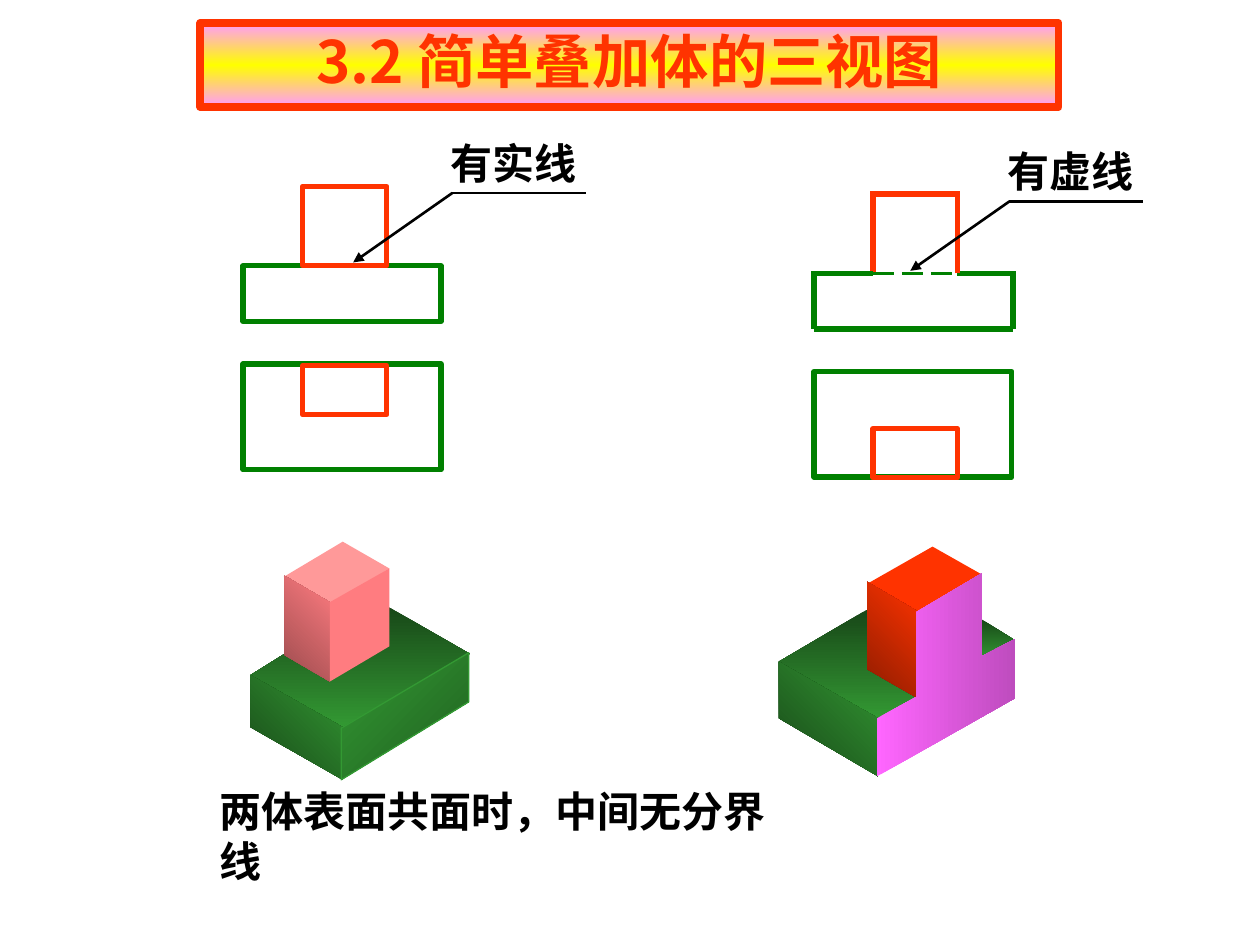
from copy import deepcopy
from typing import NamedTuple

from lxml.etree import SubElement
from pptx import Presentation
from pptx.dml.color import RGBColor
from pptx.enum.dml import MSO_LINE_DASH_STYLE as Dash
from pptx.enum.shapes import MSO_CONNECTOR as Connector, MSO_SHAPE as Shape
from pptx.enum.text import MSO_ANCHOR as Anchor, MSO_AUTO_SIZE as AutoSize, PP_ALIGN as Align
from pptx.oxml.ns import qn
from pptx.util import Cm, Pt

BLACK = RGBColor(0x00, 0x00, 0x00)
RED = RGBColor(0xFF, 0x33, 0x00)
DARK_RED = RGBColor(0x8C, 0x1C, 0x00)
OUTLINE_GREEN = RGBColor(0x00, 0x80, 0x00)
GREEN = RGBColor(0x33, 0x99, 0x33)
MID_GREEN = RGBColor(0x20, 0x60, 0x20)
DARK_GREEN = RGBColor(0x18, 0x47, 0x18)
PALE_PINK = RGBColor(0xFF, 0x99, 0x99)
PINK = RGBColor(0xFF, 0x7C, 0x80)
DARK_PINK = RGBColor(0x9B, 0x4B, 0x4E)
MAGENTA = RGBColor(0xFF, 0x66, 0xFF)
PURPLE = RGBColor(0xBE, 0x4C, 0xBE)
TITLE_PINK = RGBColor(0xFF, 0x99, 0xFF)
YELLOW = RGBColor(0xFF, 0xFF, 0x00)

SERIF, SANS = "Times New Roman", "Noto Sans CJK SC"


class Paint(NamedTuple):
    """Evenly spaced colours; the angle runs clockwise from left to right."""
    colors: tuple
    angle: int = 0


class Face(NamedTuple):
    points: list
    paint: Paint
    edge: RGBColor | None = None


class Box(NamedTuple):
    left: float
    top: float
    width: float
    height: float
    color: RGBColor


class Edge(NamedTuple):
    start: tuple
    end: tuple
    color: RGBColor
    width: float = 3
    dash: Dash | None = None


class Callout(NamedTuple):
    text: str
    x: float
    y: float


GREEN_TOP = Paint((DARK_GREEN, GREEN), 90)
GREEN_SIDE = Paint((DARK_GREEN, GREEN), 315)

FACES = [
    # small block set back on the base
    Face([(5.72, 11.63), (6.68, 12.19), (7.85, 11.46), (6.91, 10.92)], Paint((PALE_PINK,))),
    Face([(5.74, 13.18), (5.05, 13.61), (6.88, 14.68), (9.47, 13.18),
          (7.75, 12.19), (7.85, 13.03), (6.65, 13.69)], GREEN_TOP),
    Face([(5.74, 11.61), (5.74, 13.21), (6.65, 13.74), (6.65, 12.14)],
         Paint((DARK_PINK, PINK), 315)),
    Face([(6.65, 12.14), (6.65, 13.74), (7.85, 13.03), (7.85, 11.46)], Paint((PINK,))),
    Face([(5.05, 13.61), (5.05, 14.66), (6.91, 15.72), (6.91, 14.66)], GREEN_SIDE),
    Face([(6.88, 14.68), (6.88, 15.72), (9.45, 14.15), (9.45, 13.16)],
         Paint((GREEN, MID_GREEN), 45), GREEN),
    # small block flush with the front of the base
    Face([(15.7, 13.34), (17.48, 12.29), (17.48, 13.49), (18.57, 14.05), (17.65, 14.5)],
         GREEN_TOP),
    Face([(20.45, 12.9), (19.76, 13.31), (19.76, 12.47)], GREEN_TOP),
    Face([(17.5, 11.76), (18.49, 12.34), (19.79, 11.58), (18.8, 11.02)], Paint((RED,))),
    Face([(17.48, 11.73), (18.49, 12.32), (18.49, 14.07), (17.48, 13.49)],
         Paint((DARK_RED, RED), 315)),
    Face([(15.7, 13.34), (17.7, 14.48), (17.7, 15.65), (15.7, 14.48)], GREEN_SIDE),
    Face([(17.68, 14.48), (17.68, 15.65), (20.47, 14.07), (20.47, 12.88), (19.79, 13.23),
          (19.79, 11.56), (18.47, 12.34), (18.47, 14.05)], Paint((MAGENTA, PURPLE))),
]

BASE_W, BASE_H, BASE_D = 3.99, 1.12, 2.13
BLOCK_W, BLOCK_H, BLOCK_D = 1.7, 1.6, 0.99
BOXES = [
    Box(4.9, 7.34, BASE_W, BASE_D, OUTLINE_GREEN),
    Box(6.1, 7.37, BLOCK_W, BLOCK_D, RED),
    Box(4.9, 5.36, BASE_W, BASE_H, OUTLINE_GREEN),
    Box(6.1, 3.76, BLOCK_W, BLOCK_H, RED),
    Box(16.41, 7.49, BASE_W, BASE_D, OUTLINE_GREEN),
    Box(17.6, 8.64, BLOCK_W, BLOCK_D, RED),
]

# front view of the flush solid
X0, X1, X2, X3 = 16.41, 17.6, 19.3, 20.42
BLOCK_TOP, BASE_TOP, BASE_BOTTOM = 3.91, 5.51, 6.63
CAP = 0.05  # lets uprights cover the corners
EDGES = [
    Edge((X0, BASE_BOTTOM), (X3, BASE_BOTTOM), OUTLINE_GREEN),
    Edge((X3, BASE_BOTTOM), (X3, BASE_TOP - CAP), OUTLINE_GREEN),
    Edge((X3, BASE_TOP), (X2, BASE_TOP), OUTLINE_GREEN),
    Edge((X2, BASE_TOP), (X2, BLOCK_TOP - CAP), RED),
    Edge((X2, BLOCK_TOP), (X1, BLOCK_TOP), RED),
    Edge((X1, BLOCK_TOP - CAP), (X1, BASE_TOP), RED),
    Edge((X1, BASE_TOP), (X0, BASE_TOP), OUTLINE_GREEN),
    Edge((X0, BASE_BOTTOM), (X0, BASE_TOP - CAP), OUTLINE_GREEN),
    Edge((X1, BASE_TOP), (X2, BASE_TOP), OUTLINE_GREEN, 1.5, Dash.LONG_DASH),
]

CALLOUTS = [Callout("有实线", 9.12, 3.89), Callout("有虚线", 20.35, 4.06)]


def apply_paint(shape, paint: Paint) -> None:
    fill = shape.fill
    if len(paint.colors) == 1:
        fill.solid()
        fill.fore_color.rgb = paint.colors[0]
        return
    fill.gradient()
    fill.gradient_angle = -paint.angle % 360
    stop_list = next(shape._element.spPr.iter(qn("a:gsLst")))
    while len(stop_list) < len(paint.colors):
        stop_list.append(deepcopy(stop_list[-1]))
    for i, (stop, color) in enumerate(zip(fill.gradient_stops, paint.colors)):
        stop.color.rgb = color
        stop.position = i / (len(paint.colors) - 1)


def write(shape, text: str, *, size: float, font: str, color: RGBColor,
          align: Align = Align.LEFT, wrap: bool = False, spacing: float = 1) -> None:
    frame = shape.text_frame
    frame.word_wrap = wrap
    frame.auto_size = AutoSize.NONE if wrap else AutoSize.SHAPE_TO_FIT_TEXT
    frame.vertical_anchor = Anchor.MIDDLE
    paragraph = frame.paragraphs[0]
    paragraph.alignment = align
    paragraph.line_spacing = spacing
    run = paragraph.add_run()
    run.text = text
    run.font.size, run.font.name, run.font.bold = Pt(size), font, True
    run.font.color.rgb = color
    SubElement(run._r.get_or_add_rPr(), qn("a:ea"), typeface=SANS)


def draw_face(shapes, face: Face) -> None:
    first, *rest = [(Cm(x), Cm(y)) for x, y in face.points]
    builder = shapes.build_freeform(*first)
    builder.add_line_segments(rest, close=True)
    shape = builder.convert_to_shape()
    shape.shadow.inherit = False
    apply_paint(shape, face.paint)
    if face.edge is None:
        shape.line.fill.background()
    else:
        shape.line.color.rgb = face.edge
        shape.line.width = Pt(0.75)


def draw_box(shapes, box: Box) -> None:
    shape = shapes.add_shape(Shape.RECTANGLE, *(Cm(v) for v in box[:4]))
    shape.shadow.inherit = False
    shape.fill.background()
    shape.line.color.rgb = box.color
    shape.line.width = Pt(3)


def draw_edge(shapes, edge: Edge, arrow: bool = False) -> None:
    connector = shapes.add_connector(Connector.STRAIGHT,
                                     *(Cm(v) for v in edge.start + edge.end))
    line = connector.line
    line.color.rgb = edge.color
    line.width = Pt(edge.width)
    if edge.dash is not None:
        line.dash_style = edge.dash
    if arrow:
        SubElement(line._get_or_add_ln(), qn("a:tailEnd"), type="triangle")
    SubElement(connector._element.spPr, qn("a:effectLst"))


def draw_callout(shapes, callout: Callout) -> None:
    x, y = callout.x, callout.y
    draw_edge(shapes, Edge((x, y), (x - 2, y + 1.4), BLACK, 1.5), arrow=True)
    draw_edge(shapes, Edge((x, y), (x + 2.69, y), BLACK, 1.5))
    label = shapes.add_textbox(Cm(x - 0.3), Cm(y - 1.25), Cm(3.05), Cm(1.27))
    write(label, callout.text, size=24, font=SERIF, color=BLACK, align=Align.CENTER)


def main() -> None:
    deck = Presentation()
    deck.slide_width, deck.slide_height = Cm(25.4), Cm(19.05)
    shapes = deck.slides.add_slide(deck.slide_layouts[5]).shapes

    title = shapes.title
    title.left, title.top, title.width, title.height = Cm(4.04), Cm(0.46), Cm(17.3), Cm(1.7)
    apply_paint(title, Paint((TITLE_PINK, YELLOW, TITLE_PINK), 90))
    title.line.color.rgb = RED
    title.line.width = Pt(4.5)
    write(title, "3.2 简单叠加体的三视图", size=33.3, font=SANS, color=RED,
          align=Align.CENTER, wrap=True, spacing=0.9)

    for face in FACES:
        draw_face(shapes, face)
    for box in BOXES:
        draw_box(shapes, box)
    for edge in EDGES:
        draw_edge(shapes, edge)
    for callout in CALLOUTS:
        draw_callout(shapes, callout)

    caption = shapes.add_textbox(Cm(4.17), Cm(16.21), Cm(12.34), Cm(1.27))
    write(caption, "两体表面共面时，中间无分界线", size=24, font=SERIF, color=BLACK)
    deck.save("out.pptx")


if __name__ == "__main__":
    main()
